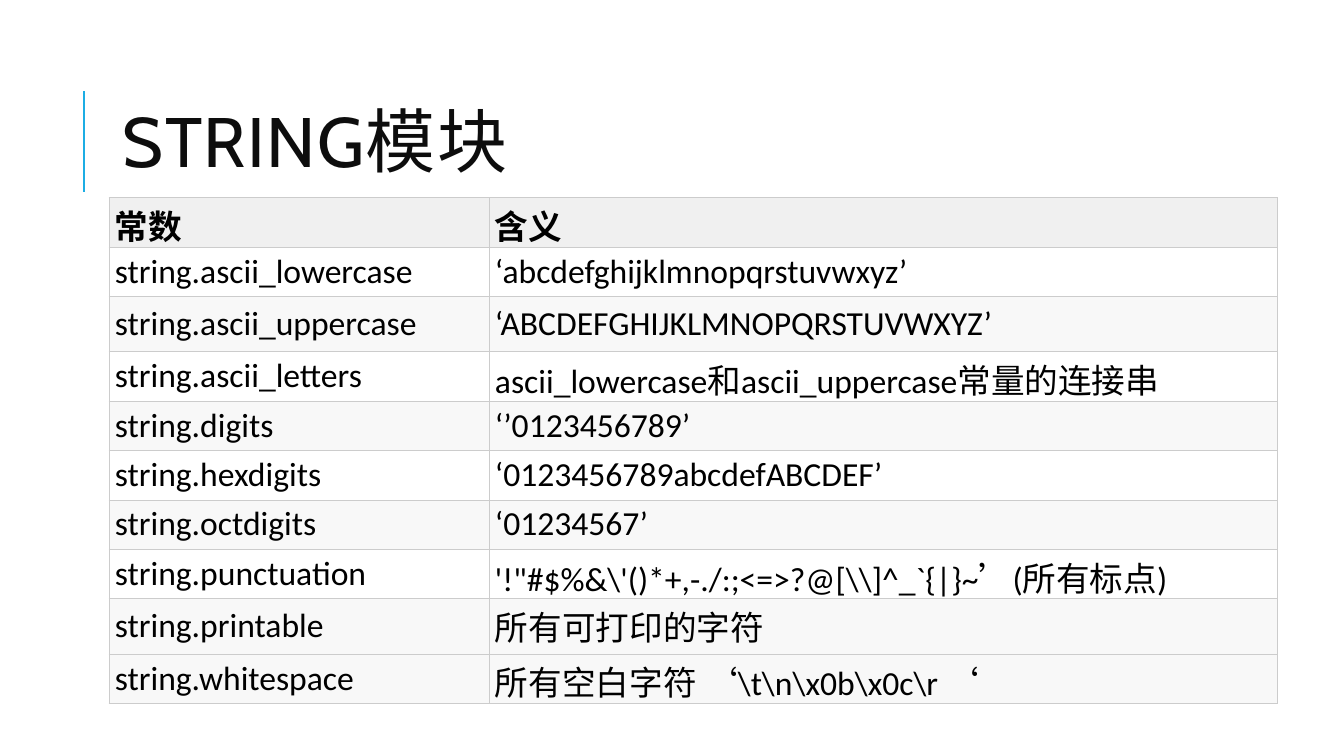
from lxml import etree
from pptx import Presentation
from pptx import util as u
from pptx.dml.color import RGBColor
from pptx.enum import shapes, text
from pptx.oxml import ns

TITLE = "STRING模块"
ROWS = [
    ("常数", "含义"),
    ("string.ascii_lowercase", "‘abcdefghijklmnopqrstuvwxyz’"),
    ("string.ascii_uppercase", "‘ABCDEFGHIJKLMNOPQRSTUVWXYZ’"),
    ("string.ascii_letters", "ascii_lowercase和ascii_uppercase常量的连接串"),
    ("string.digits", "‘’0123456789’"),
    ("string.hexdigits", "‘0123456789abcdefABCDEF’"),
    ("string.octdigits", "‘01234567’"),
    ("string.punctuation", "'!\"#$%&\\'()*+,-./:;<=>?@[\\\\]^_`{|}~’(所有标点)"),
    ("string.printable", "所有可打印的字符"),
    ("string.whitespace", "所有空白字符 ‘\\t\\n\\x0b\\x0c\\r ‘"),
]
COLUMN_WIDTHS = (377, 782)
ROW_HEIGHT, TALL_HEIGHT = 49, 55
TALL_ROWS = (2, 8)

ACCENT = RGBColor(0x1C, 0xAD, 0xE4)
TITLE_INK = RGBColor(0x0D, 0x0D, 0x0D)
INK = RGBColor(0, 0, 0)
HEADER = RGBColor(0xF0, 0xF0, 0xF0)
WHITE = RGBColor(0xFF, 0xFF, 0xFF)
STRIPE = RGBColor(0xF8, 0xF8, 0xF8)
BORDER = RGBColor(0xCC, 0xCC, 0xCC)


def px(length):
    return u.Emu(length * 9144)


def write(frame, words, *, size, font, color, bold=False, line_spacing=None, tracking=None):
    para = frame.paragraphs[0]
    para.alignment = text.PP_ALIGN.LEFT
    if line_spacing:
        para.line_spacing = line_spacing
    span = para.add_run()
    span.text = words
    span.font.size = u.Pt(size)
    span.font.name = font
    span.font.bold = bold
    span.font.color.rgb = color
    if tracking:
        span.font._element.set("spc", str(tracking))


def add_borders(cell):
    properties = cell._tc.get_or_add_tcPr()
    for side in ("a:lnL", "a:lnR", "a:lnT", "a:lnB"):
        line = etree.SubElement(properties, ns.qn(side), w=str(u.Pt(0.5)))
        fill = etree.SubElement(line, ns.qn("a:solidFill"))
        etree.SubElement(fill, ns.qn("a:srgbClr"), val=str(BORDER))


def row_fill(index):
    if index == 0:
        return HEADER
    return STRIPE if index % 2 == 0 or index == len(ROWS) - 1 else WHITE


def add_title(page):
    rule = page.shapes.add_connector(
        shapes.MSO_CONNECTOR.STRAIGHT, px(83), px(190), px(83), px(90))
    rule.line.color.rgb = ACCENT
    rule.line.width = u.Pt(1.5)
    etree.SubElement(rule._element.spPr, ns.qn("a:effectLst"))
    box = page.shapes.add_textbox(px(112), px(64), px(1063), px(164))
    frame = box.text_frame
    frame.word_wrap = True
    frame.vertical_anchor = text.MSO_ANCHOR.MIDDLE
    write(frame, TITLE, size=50, font="Cabin", color=TITLE_INK,
          line_spacing=0.8, tracking=100)


def add_constants(page):
    heights = [TALL_HEIGHT if i in TALL_ROWS else ROW_HEIGHT for i in range(len(ROWS))]
    table = page.shapes.add_table(
        len(ROWS), len(COLUMN_WIDTHS), px(108), px(196),
        px(sum(COLUMN_WIDTHS)), px(sum(heights))).table
    table.first_row = table.horz_banding = False
    for column, width in zip(table.columns, COLUMN_WIDTHS):
        column.width = px(width)
    for i, (entries, height) in enumerate(zip(ROWS, heights)):
        table.rows[i].height = px(height)
        for j, words in enumerate(entries):
            cell = table.cell(i, j)
            cell.margin_left = cell.margin_right = px(6)
            cell.margin_top = cell.margin_bottom = px(3)
            cell.vertical_anchor = text.MSO_ANCHOR.MIDDLE
            add_borders(cell)
            cell.fill.solid()
            cell.fill.fore_color.rgb = row_fill(i)
            write(cell.text_frame, words, size=24, font="Calibri", color=INK, bold=i == 0)


def main():
    deck = Presentation()
    deck.slide_width, deck.slide_height = px(1333), px(750)
    page = deck.slides.add_slide(deck.slide_layouts[6])
    add_title(page)
    add_constants(page)
    deck.save("out.pptx")


if __name__ == "__main__":
    main()
